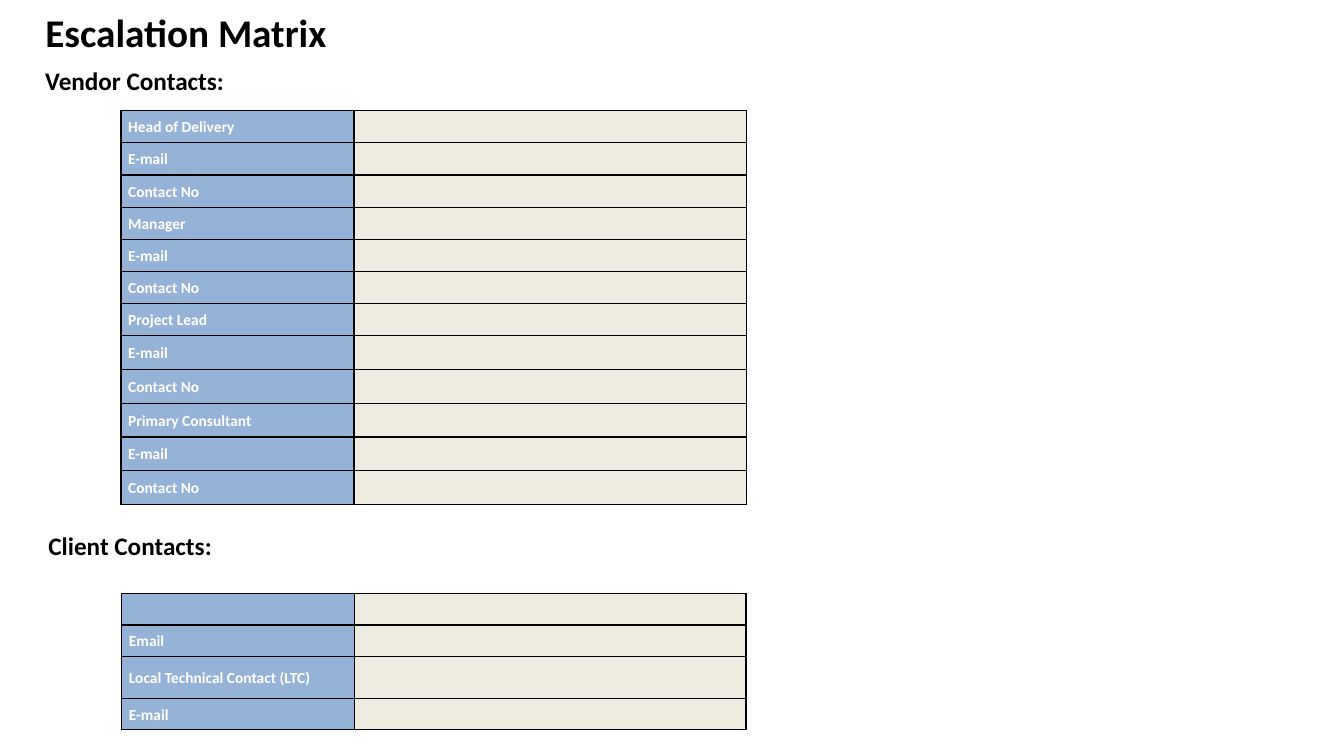
import pptx
import pptx.util
import pptx.dml.color
import pptx.enum.text
import pptx.oxml
import pptx.oxml.ns
from pptx.util import Cm

BLACK = pptx.dml.color.RGBColor(0x00, 0x00, 0x00)
WHITE = pptx.dml.color.RGBColor(0xFF, 0xFF, 0xFF)
BLUE = pptx.dml.color.RGBColor(0x95, 0xB3, 0xD7)
CREAM = pptx.dml.color.RGBColor(0xEE, 0xEC, 0xE1)
MIDDLE = pptx.enum.text.MSO_ANCHOR.MIDDLE

# Content
TITLE = "Escalation Matrix"
ROLES = ["Head of Delivery", "Manager", "Project Lead", "Primary Consultant"]
SECTIONS = [
    {
        "heading": "Vendor Contacts:",
        "heading_at": (0.89, 1.52),
        "labels": [label for role in ROLES for label in (role, "E-mail", "Contact No")],
        "table_at": (3.05, 2.79),
        "columns": (5.87, 9.9),
        "rows": [0.81] * 7 + [0.85] * 5,
    },
    {
        "heading": "Client Contacts:",
        "heading_at": (0.97, 13.23),
        "labels": ["", "Email", "Local Technical Contact (LTC)", "E-mail"],
        "table_at": (3.07, 14.96),
        "columns": (5.87, 9.86),
        "rows": [0.79, 0.79, 1.06, 0.79],
    },
]


def write_text(frame, text, size, color=BLACK, line_spacing=1.0, space_after=0):
    paragraph = frame.paragraphs[0]
    paragraph.alignment = pptx.enum.text.PP_ALIGN.LEFT
    paragraph.line_spacing = line_spacing
    paragraph.space_before = pptx.util.Pt(0)
    paragraph.space_after = pptx.util.Pt(space_after)
    run = paragraph.add_run()
    run.text = text
    run.font.name = "Calibri"
    run.font.size = pptx.util.Pt(size)
    run.font.bold = True
    run.font.color.rgb = color


def add_borders(cell):
    properties = cell._tc.get_or_add_tcPr()
    namespace = pptx.oxml.ns.nsdecls("a")
    for index, side in enumerate(("lnL", "lnR", "lnT", "lnB")):
        properties.insert(index, pptx.oxml.parse_xml(
            f'<a:{side} {namespace} w="12700"><a:solidFill>'
            f'<a:srgbClr val="{BLACK}"/></a:solidFill></a:{side}>'))


def add_contact_table(slide, section):
    columns, rows = section["columns"], section["rows"]
    left, top = section["table_at"]
    table = slide.shapes.add_table(
        len(rows), len(columns), Cm(left), Cm(top), Cm(sum(columns)), Cm(sum(rows))).table
    table.first_row = False
    table.horz_banding = False
    for column, width in zip(table.columns, columns):
        column.width = Cm(width)
    for row, height, label in zip(table.rows, rows, section["labels"]):
        row.height = Cm(height)
        for cell, color in zip(row.cells, (BLUE, CREAM)):
            cell.fill.solid()
            cell.fill.fore_color.rgb = color
            cell.vertical_anchor = MIDDLE
            cell.margin_left = cell.margin_right = Cm(0.18)
            cell.margin_top = cell.margin_bottom = 0
            add_borders(cell)
        if label:
            write_text(row.cells[0].text_frame, label, size=11, color=WHITE,
                       line_spacing=1.07, space_after=8)


presentation = pptx.Presentation()
presentation.slide_width = Cm(33.87)
presentation.slide_height = Cm(19.05)
slide = presentation.slides.add_slide(presentation.slide_layouts[5])

# Title
title = slide.shapes.title
title.left, title.top, title.width, title.height = Cm(0.89), Cm(0.08), Cm(10.03), Cm(1.45)
title.text_frame.vertical_anchor = pptx.enum.text.MSO_ANCHOR.TOP
title.text_frame.auto_size = pptx.enum.text.MSO_AUTO_SIZE.NONE
write_text(title.text_frame, TITLE, size=28)

# Headings with their contact tables
for section in SECTIONS:
    left, top = section["heading_at"]
    heading = slide.shapes.add_textbox(Cm(left), Cm(top), Cm(5.87), Cm(1.02))
    heading.text_frame.word_wrap = True
    write_text(heading.text_frame, section["heading"], size=18)
    add_contact_table(slide, section)

presentation.save("out.pptx")
